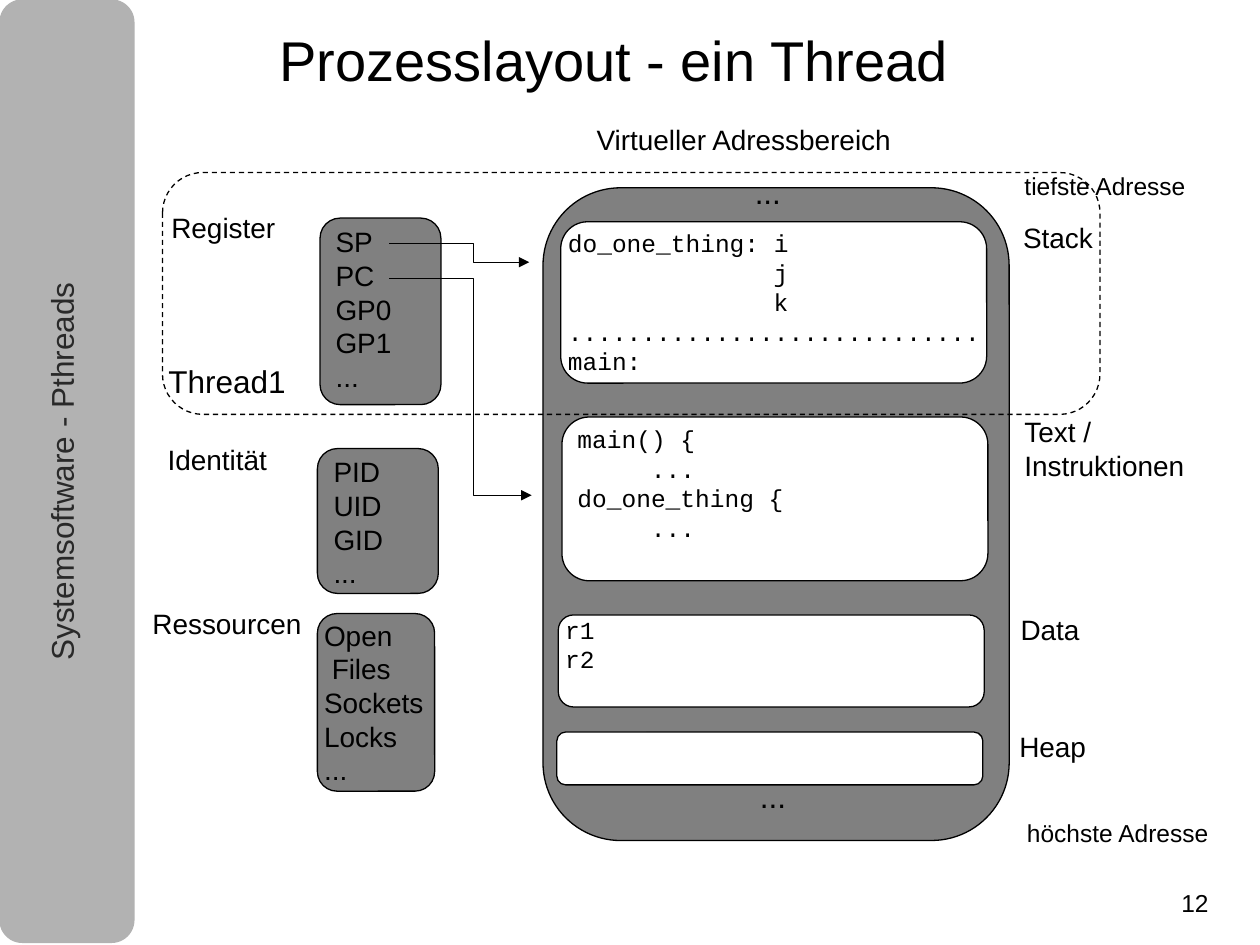
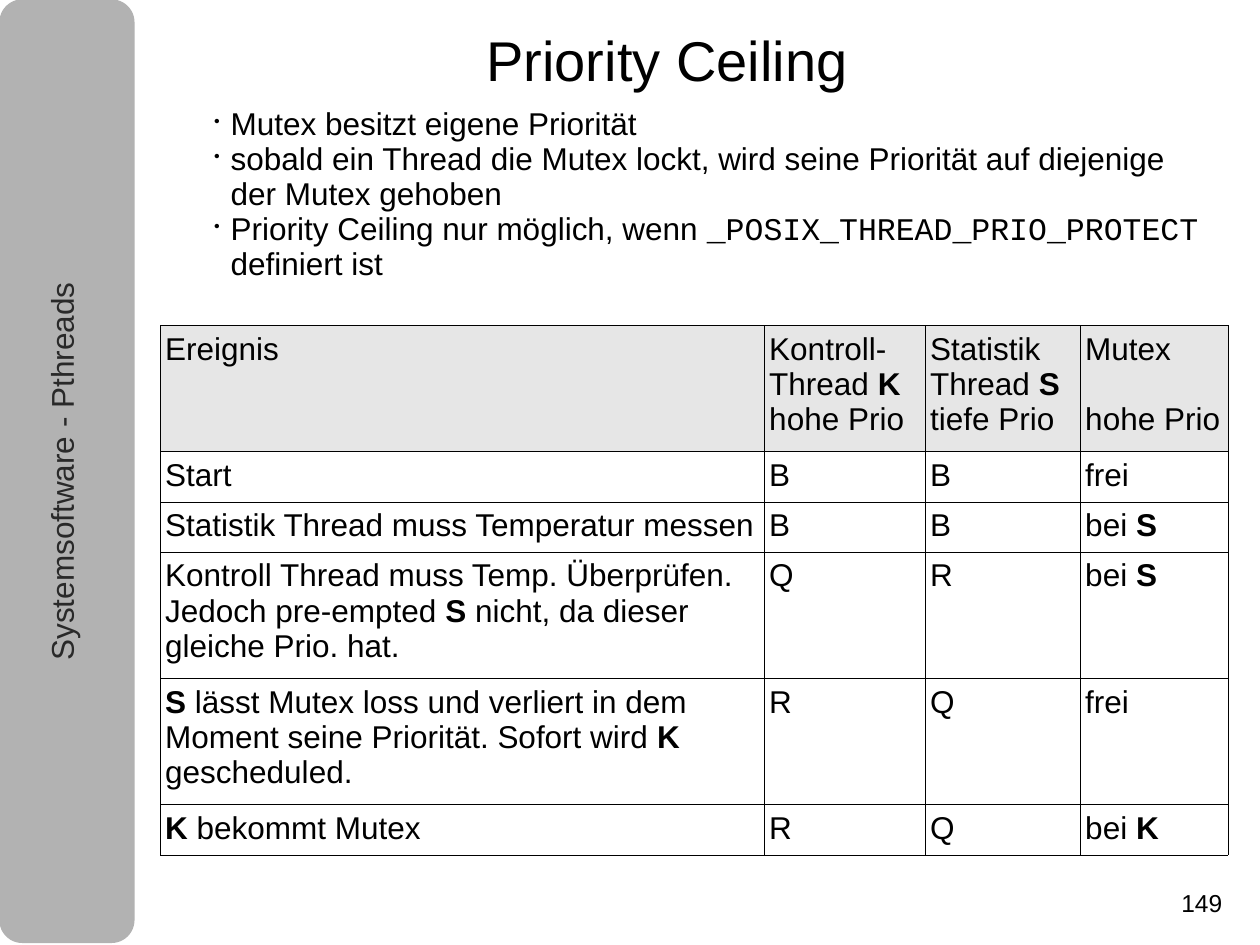
import pptx
import pptx.util
import pptx.dml.color
import pptx.enum.dml
import pptx.enum.shapes
import pptx.enum.text
import pptx.oxml
import pptx.oxml.ns

Pt = pptx.util.Pt
rgb = pptx.dml.color.RGBColor.from_string
NS = pptx.oxml.ns.nsdecls("a")

BLACK, WHITE, GREY = "000000", "FFFFFF", "808080"
BAND, BAND_TEXT, HEADER = "B2B2B2", "292929", "E6E6E6"
SANS, MONO = "Arial", "Courier New"
TIGHT, SINGLE = 0.93, 1.0  # line spacings


def box(s, x, y, w, h, fill, line=BLACK):
    sp = s.shapes.add_shape(pptx.enum.shapes.MSO_SHAPE.ROUNDED_RECTANGLE,
                            Pt(x), Pt(y), Pt(w), Pt(h))
    sp.shadow.inherit = False
    if fill:
        sp.fill.solid()
        sp.fill.fore_color.rgb = rgb(fill)
    else:
        sp.fill.background()
        sp.line.dash_style = pptx.enum.dml.MSO_LINE.DASH
    sp.line.color.rgb = rgb(line)
    sp.line.width = Pt(0.75)


def text(s, x, y, w, h, lines, size, font=SANS, spacing=TIGHT, color=BLACK):
    """Add a text box; a line is a string or (indent, string)."""
    sp = s.shapes.add_textbox(Pt(x), Pt(y), Pt(w), Pt(h))
    tf = sp.text_frame
    tf.word_wrap = True
    tf.margin_left = tf.margin_right = tf.margin_top = tf.margin_bottom = 0
    for i, line in enumerate(lines):
        indent, words = (0, line) if isinstance(line, str) else line
        p = tf.paragraphs[0] if i == 0 else tf.add_paragraph()
        p.add_run().text = words
        p.line_spacing = spacing
        p.font.size = Pt(size)
        p.font.name = font
        p.font.color.rgb = rgb(color)
        if indent:
            p._p.get_or_add_pPr().set("marL", str(Pt(indent)))
    return sp


prs = pptx.Presentation()
prs.slide_width, prs.slide_height = Pt(720), Pt(540)

# Shared frame: side band, title, page number
slides = []
for title, title_x, page in [("Prozesslayout - ein Thread", 159.8, "12"),
                             ("Priority Ceiling", 278, "149")]:
    s = prs.slides.add_slide(prs.slide_layouts[6])
    box(s, 0, 0, 76.5, 538.5, BAND, BAND)
    sp = text(s, -234.5, 259, 538.5, 21, ["Systemsoftware - Pthreads"], 18,
              spacing=SINGLE, color=BAND_TEXT)
    sp.rotation = 270
    sp.text_frame.paragraphs[0].alignment = pptx.enum.text.PP_ALIGN.CENTER
    text(s, title_x, 18.2, 440, 36, [title], 32)
    text(s, 675, 507.6, 40, 18, [page], 14, spacing=SINGLE)
    slides.append(s)

# Slide 1: process layout
s = slides[0]
for x, y, w, h, fill in [
    (310.3, 107.3, 266.4, 373, GREY),      # address space
    (182.9, 124.6, 69.1, 106.6, GREY),     # registers
    (181.4, 256.3, 69.1, 82.8, GREY),      # identity
    (181.4, 350.6, 67, 101.5, GREY),       # resources
    (92.9, 98.6, 535.7, 138.2, None),      # thread outline
    (320.4, 126.7, 243.4, 92.2, WHITE),    # stack
    (321.1, 238.3, 243.4, 93.6, WHITE),    # text
    (319, 351.4, 243.4, 52.6, WHITE),      # data
    (318.2, 418.3, 243.4, 30.2, WHITE),    # heap
]:
    box(s, x, y, w, h, fill)

# Arrows from the registers into the address space
BEND_X = 270.7
for y1, x2, y2 in [(139, 302.4, 149.8), (159.1, 303.8, 283)]:
    fb = s.shapes.build_freeform(Pt(222.5), Pt(y1))
    fb.add_line_segments([(Pt(BEND_X), Pt(y1)), (Pt(BEND_X), Pt(y2)),
                          (Pt(x2), Pt(y2))], close=False)
    sp = fb.convert_to_shape()
    sp.shadow.inherit = False
    sp.fill.background()
    sp.line.color.rgb = rgb(BLACK)
    sp.line.width = Pt(0.75)
    sp.line._get_or_add_ln().append(
        pptx.oxml.parse_xml(f'<a:tailEnd {NS} type="triangle"/>'))

# Labels
for x, y, size, label in [
    (340.9, 71.5, 16, "Virtueller Adressbereich"),
    (97.9, 122, 16, "Register"),
    (95.8, 254.5, 16, "Identität"),
    (87.1, 348, 16, "Ressourcen"),
    (96.2, 209, 18, "Thread1"),
    (431.3, 100.8, 18, "..."),
    (434.2, 445.7, 18, "..."),
    (585.4, 99.4, 14, "tiefste Adresse"),
    (584.6, 127.7, 16, "Stack"),
    (583.2, 351.7, 16, "Data"),
    (582.5, 418.3, 16, "Heap"),
    (586.8, 468.7, 14, "höchste Adresse"),
]:
    text(s, x, y, len(label) * size * 0.6 + 6, size * 1.2, [label], size)

# Lists in and beside the boxes
CHAR = 8.4  # width of one code character
for x, y, w, size, font, lines in [
    (191.8, 128.5, 55, 16, SANS, ["SP", "PC", "GP0", "GP1", "..."]),
    (190.6, 260, 55, 16, SANS, ["PID", "UID", "GID", "..."]),
    (185.2, 353.3, 63, 16, SANS, ["Open", (4.4, "Files"), "Sockets", "Locks", "..."]),
    (585.4, 237, 111, 16, SANS, ["Text /", "Instruktionen"]),
    (324.5, 130.5, 243.4, 14, MONO, ["do_one_thing: i", (14 * CHAR, "j"),
                                     (14 * CHAR, "k"), "." * 28, "main:"]),
    (330, 242.5, 230, 14, MONO, ["main() {", (5 * CHAR, "..."),
                                 "do_one_thing {", (5 * CHAR, "...")]),
    (323, 351.5, 235, 14, MONO, ["r1", "r2"]),
]:
    text(s, x, y, w, len(lines) * size * 1.2, lines, size, font, SINGLE)

# Slide 2: bullets
s = slides[1]
sp = text(s, 122.4, 61.2, 566, 101, [
    "Mutex besitzt eigene Priorität",
    "sobald ein Thread die Mutex lockt, wird seine Priorität auf diejenige der Mutex gehoben",
    "Priority Ceiling nur möglich, wenn ",
], 18)
p = sp.text_frame.paragraphs[2]
r = p.add_run()
r.text = "_POSIX_THREAD_PRIO_PROTECT"
r.font.name = MONO
p.add_run().text = " definiert ist"
for p in sp.text_frame.paragraphs:
    pPr = p._p.get_or_add_pPr()
    pPr.set("marL", str(Pt(9.4)))
    pPr.set("indent", str(-Pt(9.4)))
    for xml in (f'<a:buClr {NS}><a:srgbClr val="{BLACK}"/></a:buClr>',
                f'<a:buSzPct {NS} val="54000"/>',
                f'<a:buChar {NS} char="•"/>'):
        pPr.insert_element_before(pptx.oxml.parse_xml(xml), "a:defRPr")

# Event table; asterisks enclose bold words
rows = [
    ["Ereignis", "Kontroll-Thread *K*\nhohe Prio",
     "Statistik Thread *S*\ntiefe Prio", "Mutex\nhohe Prio"],
    ["Start", "B", "B", "frei"],
    ["Statistik Thread muss Temperatur messen", "B", "B", "bei *S*"],
    ["Kontroll Thread muss Temp. Überprüfen. Jedoch pre-empted *S* nicht, "
     "da dieser gleiche Prio. hat.", "Q", "R", "bei *S*"],
    ["*S* lässt Mutex loss und verliert in dem Moment seine Priorität. "
     "Sofort wird *K* gescheduled.", "R", "Q", "frei"],
    ["*K* bekommt Mutex", "R", "Q", "bei *K*"],
]
widths = [345.2, 92, 88.6, 84.6]
heights = [72, 28.8, 28.8, 72, 72, 28.8]
table = s.shapes.add_table(len(rows), len(widths), Pt(91.5), Pt(185.8),
                           Pt(sum(widths)), Pt(sum(heights))).table
table.first_row = table.horz_banding = False
for col, w in zip(table.columns, widths):
    col.width = Pt(w)
for i, row in enumerate(rows):
    table.rows[i].height = Pt(heights[i])
    for j, words in enumerate(row):
        cell = table.cell(i, j)
        cell.margin_left = cell.margin_right = Pt(2.9)
        cell.margin_top = cell.margin_bottom = Pt(3.6)
        tcPr = cell._tc.get_or_add_tcPr()
        for side in ("lnL", "lnR", "lnT", "lnB"):
            tcPr.append(pptx.oxml.parse_xml(
                f'<a:{side} {NS} w="{Pt(0.06)}"><a:solidFill>'
                f'<a:srgbClr val="{BLACK}"/></a:solidFill></a:{side}>'))
        if i == 0:
            cell.fill.solid()
            cell.fill.fore_color.rgb = rgb(HEADER)
        else:
            cell.fill.background()
        for k, line in enumerate(words.split("\n")):
            tf = cell.text_frame
            p = tf.paragraphs[0] if k == 0 else tf.add_paragraph()
            p.line_spacing = SINGLE
            p.font.size = Pt(18)
            p.font.name = SANS
            p.font.color.rgb = rgb(BLACK)
            for n, part in enumerate(line.split("*")):
                if part:
                    r = p.add_run()
                    r.text = part
                    if n % 2:
                        r.font.bold = True
# Leave one line free above the priority of the mutex
table.cell(0, 3).text_frame.paragraphs[1].space_before = Pt(20)

prs.save("out.pptx")
